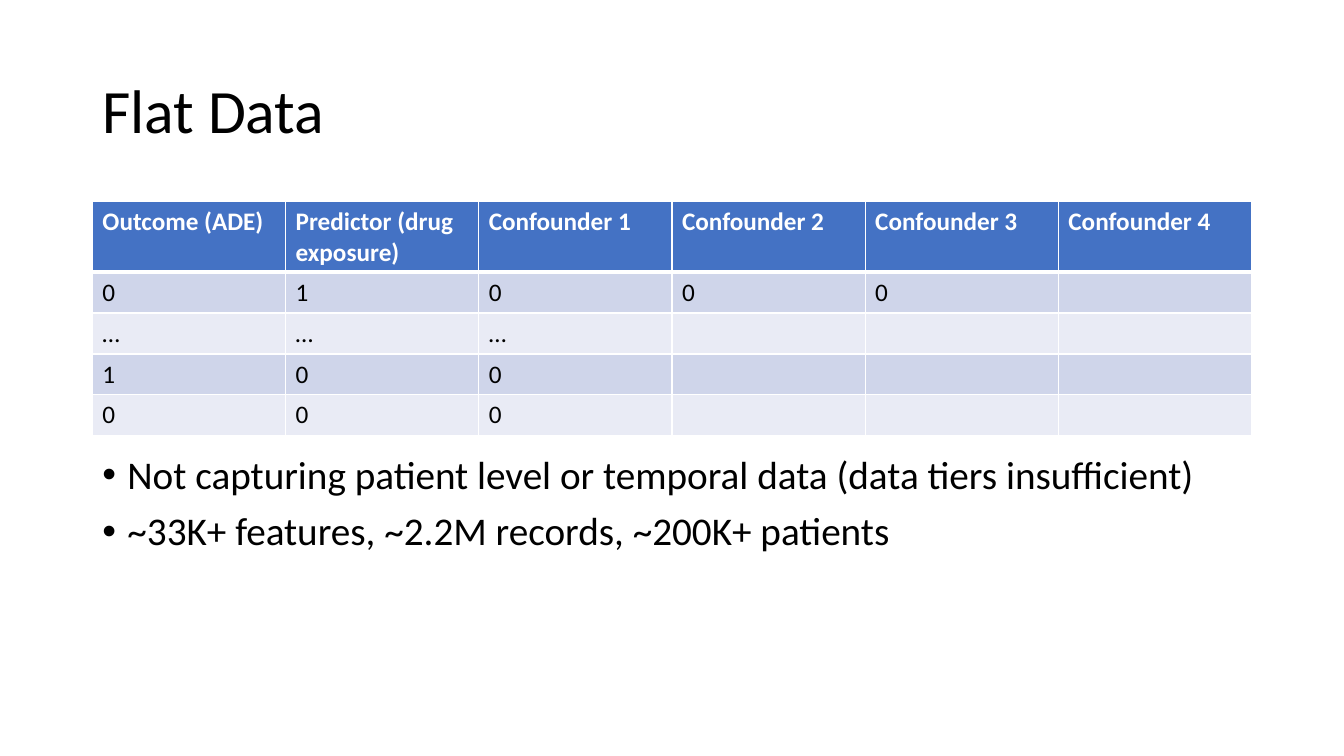
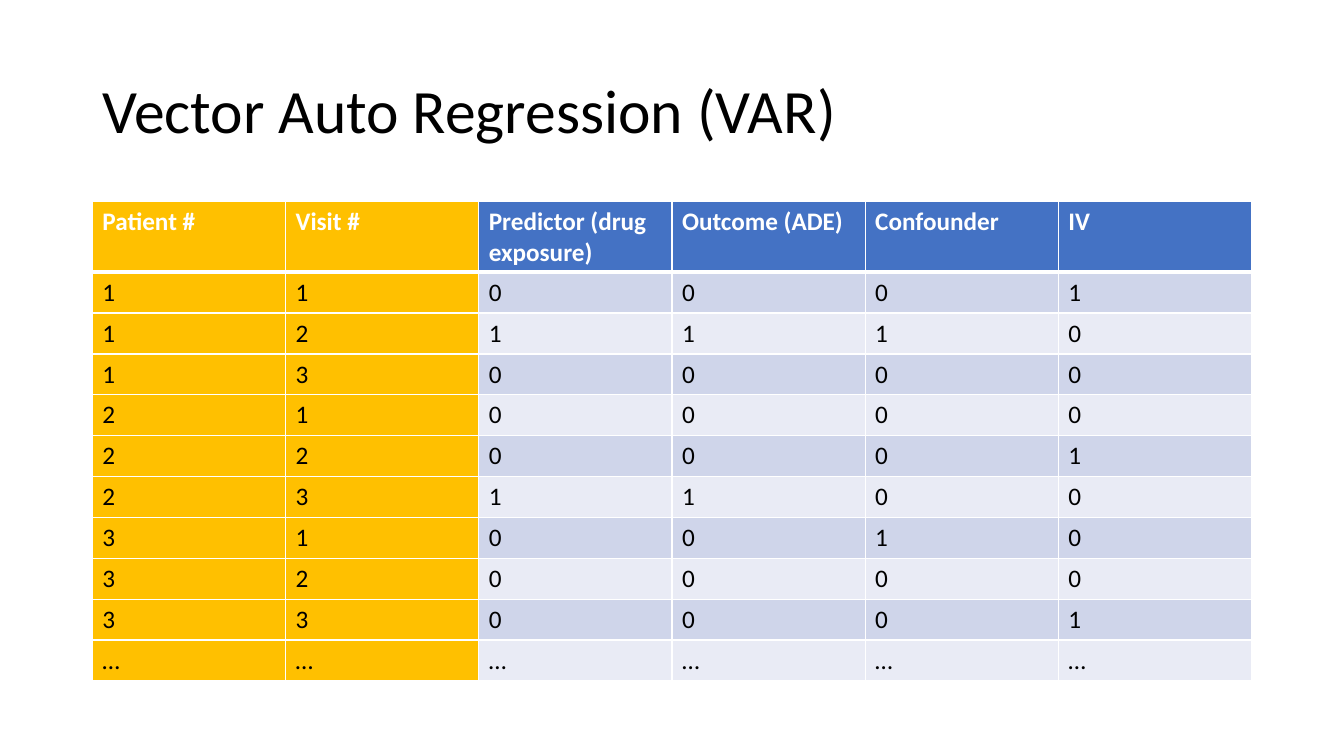
from lxml.etree import SubElement
from pptx import Presentation
from pptx.dml.color import RGBColor
from pptx.enum.text import MSO_ANCHOR
from pptx.oxml.ns import qn
from pptx.util import Pt

FONT = "Calibri"
BLACK, WHITE = "000000", "FFFFFF"
HEADER_BLUE, KEY_GOLD = "4472C4", "FFC000"
BANDS = ("CFD5EA", "E9EBF5")

LEFT, WIDTH = 66, 828
TITLE_TOP, TITLE_HEIGHT = 28.75, 104.4
TABLE_TOP, HEADER_HEIGHT, ROW_HEIGHT = 144, 50.4, 29.2
POINTS_TOP, POINTS_HEIGHT = 321.75, 147.6
POINT_INDENT = 18
THIN, THICK = 1, 3

SLIDES = [
    {
        "title": "Flat Data",
        "key_columns": 0,
        "header": ["Outcome (ADE)", "Predictor (drug exposure)", "Confounder 1",
                   "Confounder 2", "Confounder 3", "Confounder 4"],
        "records": ["0 1 0 0 0", "… … …", "1 0 0", "0 0 0"],
        "points": [
            "Not capturing patient level or temporal data (data tiers insufficient)",
            "~33K+ features, ~2.2M records, ~200K+ patients",
        ],
    },
    {
        "title": "Vector Auto Regression (VAR)",
        "key_columns": 2,
        "header": ["Patient #", "Visit #", "Predictor (drug exposure)",
                   "Outcome (ADE)", "Confounder", "IV"],
        "records": ["1 1 0 0 0 1", "1 2 1 1 1 0", "1 3 0 0 0 0",
                    "2 1 0 0 0 0", "2 2 0 0 0 1", "2 3 1 1 0 0",
                    "3 1 0 0 1 0", "3 2 0 0 0 0", "3 3 0 0 0 1",
                    "… … … … … …"],
        "points": [],
    },
]


def rgb(code):
    """Turn a hex string into a colour."""
    return RGBColor.from_string(code)


def style_text(frame, size, color=BLACK, bold=False):
    """Format every run of a text frame."""
    for paragraph in frame.paragraphs:
        for run in paragraph.runs:
            run.font.name = FONT
            run.font.size = Pt(size)
            run.font.bold = bold
            run.font.color.rgb = rgb(color)


def add_text(slide, lines, top, height, size):
    """Add a full-width text box with one paragraph per line."""
    box = slide.shapes.add_textbox(Pt(LEFT), Pt(top), Pt(WIDTH), Pt(height))
    frame = box.text_frame
    frame.word_wrap = True
    frame.text = "\n".join(lines)
    for paragraph in frame.paragraphs:
        paragraph.line_spacing = 0.9
    style_text(frame, size)
    return frame


def add_title(slide, title):
    """Add the slide title, centred vertically in its band."""
    frame = add_text(slide, [title], TITLE_TOP, TITLE_HEIGHT, 44)
    frame.vertical_anchor = MSO_ANCHOR.MIDDLE


def add_points(slide, points):
    """Add the bulleted points below the table."""
    frame = add_text(slide, points, POINTS_TOP, POINTS_HEIGHT, 28)
    for paragraph in frame.paragraphs:
        paragraph.space_before = Pt(10)
        properties = paragraph._p.get_or_add_pPr()
        properties.set("marL", str(Pt(POINT_INDENT)))
        properties.set("indent", str(-Pt(POINT_INDENT)))
        SubElement(properties, qn("a:buFont"), typeface="Arial")
        SubElement(properties, qn("a:buChar"), char="•")


def set_borders(cell, top, bottom):
    """Draw white cell borders, thin at the sides."""
    properties = cell._tc.get_or_add_tcPr()
    for side, weight in (("L", THIN), ("R", THIN), ("T", top), ("B", bottom)):
        line = SubElement(properties, qn("a:ln" + side), w=str(Pt(weight)))
        fill = SubElement(line, qn("a:solidFill"))
        SubElement(fill, qn("a:srgbClr"), val=WHITE)


def add_records(slide, header, records, key_columns):
    """Add the table: a header, banded records and gold key columns."""
    rows = [header] + [record.split() for record in records]
    height = HEADER_HEIGHT + ROW_HEIGHT * len(records)
    table = slide.shapes.add_table(len(rows), len(header), Pt(LEFT), Pt(TABLE_TOP),
                                   Pt(WIDTH), Pt(height)).table
    for column in table.columns:
        column.width = Pt(WIDTH / len(header))
    for r, values in enumerate(rows):
        is_header = r == 0
        table.rows[r].height = Pt(HEADER_HEIGHT if is_header else ROW_HEIGHT)
        row_fill = HEADER_BLUE if is_header else BANDS[(r - 1) % 2]
        for c in range(len(header)):
            cell = table.cell(r, c)
            set_borders(cell, THICK if r == 1 else THIN, THICK if is_header else THIN)
            cell.fill.solid()
            cell.fill.fore_color.rgb = rgb(KEY_GOLD if c < key_columns else row_fill)
            if c < len(values):
                cell.text_frame.text = values[c]
                style_text(cell.text_frame, 18, WHITE if is_header else BLACK, is_header)


def build():
    """Build and save the presentation."""
    deck = Presentation()
    deck.slide_width, deck.slide_height = Pt(960), Pt(540)
    for content in SLIDES:
        slide = deck.slides.add_slide(deck.slide_layouts[6])
        add_title(slide, content["title"])
        add_records(slide, content["header"], content["records"], content["key_columns"])
        if content["points"]:
            add_points(slide, content["points"])
    deck.save("out.pptx")


build()
